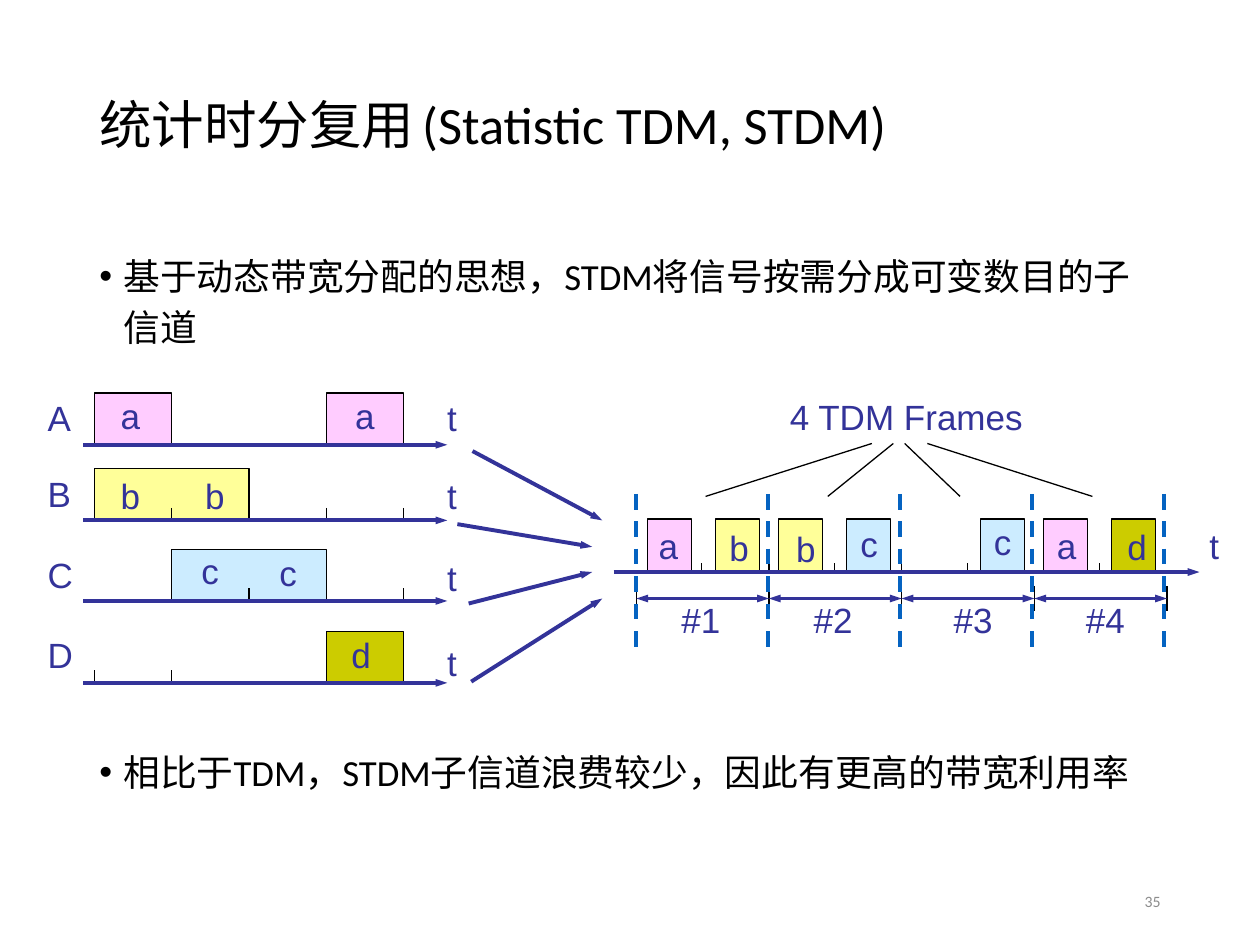
"""Builds a slide on statistical time division multiplexing."""
from lxml import etree
from pptx import Presentation
from pptx.dml.color import RGBColor
from pptx.enum.dml import MSO_LINE
from pptx.enum.shapes import MSO_CONNECTOR
from pptx.enum.text import MSO_ANCHOR, PP_ALIGN
from pptx.oxml.ns import qn
from pptx.util import Inches, Pt

LINE, DASH = MSO_CONNECTOR.STRAIGHT, MSO_LINE.DASH
TOP, MID = MSO_ANCHOR.TOP, MSO_ANCHOR.MIDDLE
LEFT, RIGHT = PP_ALIGN.LEFT, PP_ALIGN.RIGHT
hue = RGBColor.from_string
INK, NAVY, BLUE = "000000", "333399", "0563C1"
FILLS = {"a": "FFCCFF", "b": "FFFF99", "c": "CCECFF", "d": "CCCC00"}

deck = Presentation()
deck.slide_width, deck.slide_height = Inches(10), Inches(7.5)
unit = deck.slide_width / 100
slide = deck.slides.add_slide(deck.slide_layouts[6])
shapes = slide.shapes


def write(runs, x, y, w, h, font="Arial", tint=NAVY, wrap=False, anchor=TOP, align=LEFT):
    box = shapes.add_textbox(*[round(n * unit) for n in (x, y, w, h)])
    frame = box.text_frame
    frame.word_wrap, frame.vertical_anchor = wrap, anchor
    para = frame.paragraphs[0]
    para.alignment = align
    for words, size in runs:
        run = para.add_run()
        run.text = words
        run.font.name, run.font.size = font, Pt(size)
        run.font.color.rgb = hue(tint)
    return para


def draw(x1, y1, x2, y2, tint=INK, width=0.75, ends=(), dash=None):
    line = shapes.add_connector(LINE, *[round(n * unit) for n in (x1, y1, x2, y2)])
    line.line.color.rgb, line.line.width = hue(tint), Pt(width)
    if dash:
        line.line.dash_style = dash
    for end in ends:
        etree.SubElement(line.line._get_or_add_ln(), qn("a:" + end), type="triangle", w="sm", len="med")
    etree.SubElement(line._element.spPr, qn("a:effectLst"))


title = write([("统计时分复用", 30), (" ", 20), ("(Statistic TDM, STDM)", 30)],
              6.9, 4, 86.2, 12.3, "Calibri", INK, True, MID)
title.line_spacing = 0.9

points = [("基于动态带宽分配的思想，STDM将信号按需分成可变数目的子信道", 19.2),
          ("相比于TDM，STDM子信道浪费较少，因此有更高的带宽利用率", 58.5)]
for words, y in points:
    para = write([(words, 21)], 6.9, y, 86.2, 11, "Calibri", INK, True)
    para.line_spacing, para.space_before = 1.14, Pt(7.5)
    props = para._p.get_or_add_pPr()
    props.set("marL", str(Inches(0.19)))
    props.set("indent", str(-Inches(0.19)))
    etree.SubElement(props, qn("a:buFont"), typeface="Arial")
    etree.SubElement(props, qn("a:buChar"), char="•")

slots = [7.5 + 6.13 * i for i in range(5)]
rows = [35.3, 41.3, 47.7, 54.2]
edges = [50.5 + 10.53 * i for i in range(5)]
axis = 45.4

blocks = [(key, slots[col], rows[row], 6.13 * span)
          for key, col, row, span in [("a", 0, 0, 1), ("a", 3, 0, 1), ("b", 0, 1, 2),
                                      ("c", 1, 2, 2), ("d", 3, 3, 1)]]
blocks += [(key, x, axis - 0.1, 3.5)
           for key, x in [("a", 51.4), ("b", 56.8), ("b", 61.8), ("c", 67.2),
                          ("c", 77.8), ("a", 82.8), ("d", 88.2)]]
for key, x, y, w in blocks:
    pen = shapes.build_freeform(round(x * unit), round(y * unit))
    pen.add_line_segments([(round(p * unit), round(q * unit))
                           for p, q in [(x, y - 4.1), (x + w, y - 4.1), (x + w, y)]], close=False)
    block = pen.convert_to_shape()
    block.shadow.inherit = False
    block.fill.solid()
    block.fill.fore_color.rgb = hue(FILLS[key])
    block.line.color.rgb, block.line.width = hue(INK), Pt(0.75)

for row, col in [(1, 1), (1, 3), (1, 4), (2, 2), (2, 4), (3, 0), (3, 1), (3, 3)]:
    draw(slots[col], rows[row] - 1, slots[col], rows[row])
for x in edges[1:3]:
    draw(x, axis - 1, x, axis)
for x in edges[:4]:
    draw(x + 5.2, axis - 0.7, x + 5.2, axis - 0.1)
for x in edges:
    draw(x, 46.5, x, 48.5)
for x, end in zip(edges, edges[1:]):
    draw(x, 47.5, end, 47.5, NAVY, 2.25, ["headEnd", "tailEnd"])

for x, end in [(69.2, 56), (70.9, 65.7), (71.8, 76.2), (73.6, 86.7)]:
    draw(x, 35.2, end, 39.4)

arrows = [(6.6, y, 35.5, y) for y in rows] + [(48.7, axis, 95.2, axis)]
arrows += [(37.5, 35.8, 47.8, 41.3), (36.3, 41.6, 47, 43.4),
           (37.2, 47.9, 47, 45.4), (37.4, 54.1, 47.8, 47.5)]
for ends in arrows:
    draw(*ends, NAVY, 2.25, ["tailEnd"])
for i in range(5):
    x = 50.5 + 10.48 * i
    draw(x, 39.2, x, 52.1, BLUE, 2.25, dash=DASH)

marks = [("A", 2.8, 31), ("B", 2.8, 37), ("C", 2.8, 43.4), ("D", 2.8, 49.8),
         ("t", 34.5, 31), ("t", 34.5, 37.2), ("t", 34.5, 43.7), ("t", 34.5, 50.4), ("t", 95, 41.1),
         ("a", 8.6, 30.8), ("a", 27.2, 30.8), ("b", 8.6, 37.2), ("b", 15.3, 37.2),
         ("c", 15, 43.1), ("c", 21.2, 43.3), ("d", 26.9, 49.8),
         ("a", 51.3, 41.1), ("b", 56.9, 41.3), ("b", 62.2, 41.4), ("c", 67.3, 41),
         ("c", 77.9, 40.8), ("a", 82.9, 41.1), ("d", 88.5, 41.2)]
for word, x, y in marks:
    write([(word, 20)], x, y, 2.8 if word == "t" else 3.6, 4.3)
for i, x in enumerate([53.1, 63.6, 74.7, 85.2], 1):
    write([(f"#{i}", 20)], x, 47, 5.1, 4.3)
write([("4 TDM Frames", 20)], 61.7, 30.9, 21.4, 4.4)
write([("35", 9)], 70.6, 69.5, 22.5, 4, "Calibri", "8C8C8C", True, MID, RIGHT)

deck.save("out.pptx")
